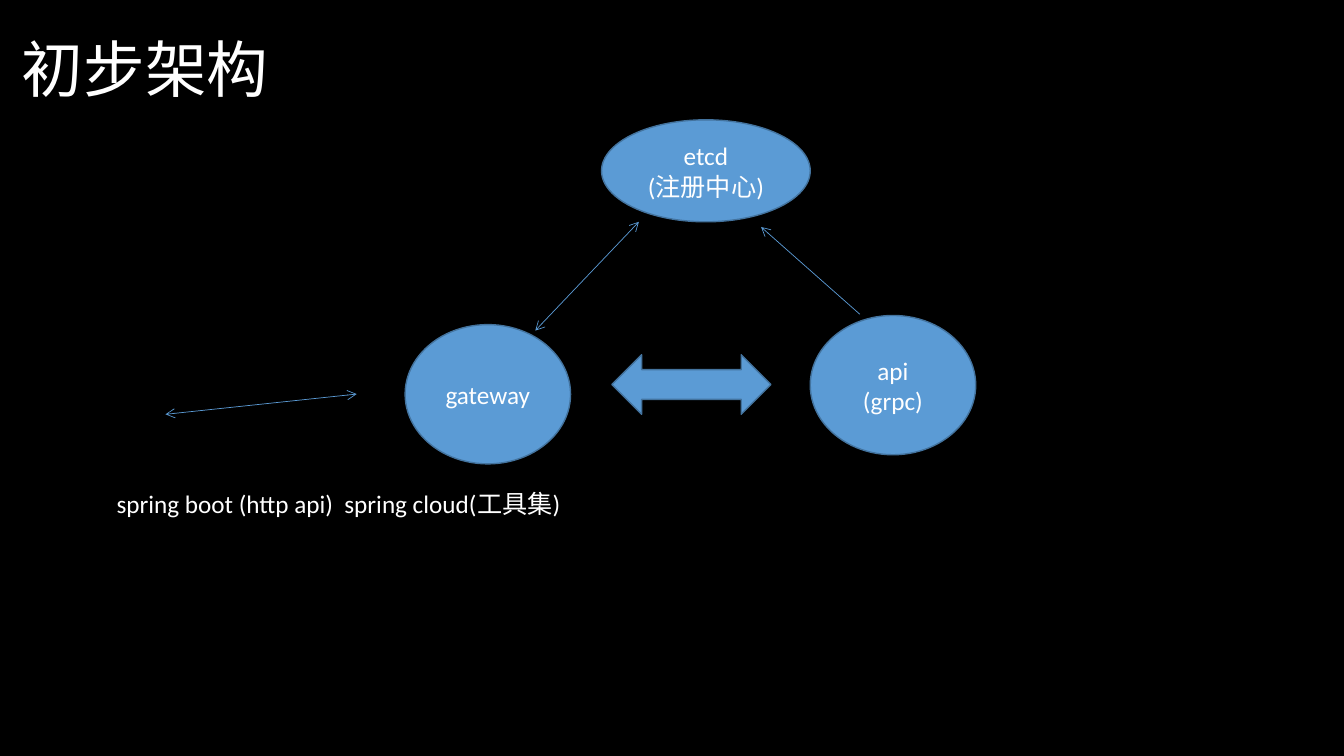
from lxml.etree import SubElement as Sub
from pptx import Presentation
from pptx.dml.color import RGBColor
from pptx.enum.shapes import MSO_CONNECTOR as Link, MSO_SHAPE as Kind
from pptx.enum.text import MSO_ANCHOR as Anchor, MSO_AUTO_SIZE as Fit, PP_ALIGN as Align
from pptx.oxml.ns import qn
from pptx.util import Cm, Pt

BLACK = RGBColor(0x00, 0x00, 0x00)
WHITE = RGBColor(0xFF, 0xFF, 0xFF)
BLUE = RGBColor(0x5B, 0x9B, 0xD5)
EDGE = RGBColor(0x43, 0x73, 0x9E)

FONT = {"name": "Calibri", "size": Pt(18)}
HEAD = {"name": "Calibri", "size": Pt(44)}
FRAME = {"word_wrap": True, "auto_size": Fit.NONE, "vertical_anchor": Anchor.MIDDLE}
NOTE = {"word_wrap": True, "auto_size": Fit.SHAPE_TO_FIT_TEXT, "vertical_anchor": Anchor.TOP}
NODES = [
    ("api\n(grpc)", (20.42, 7.95, 4.17, 3.51)),
    ("etcd\n(注册中心)", (15.16, 3.02, 5.26, 2.57)),
    ("gateway", (10.21, 8.18, 4.17, 3.51)),
]
LINKS = [
    ((21.67, 7.92, 19.18, 5.72), ["tailEnd"]),
    ((13.49, 8.33, 16.1, 5.59), ["headEnd", "tailEnd"]),
    ((4.17, 10.44, 8.99, 9.93), ["headEnd", "tailEnd"]),
]


def apply(item, form):
    """Set each attribute of item from the format values."""
    for key, value in form.items():
        setattr(item, key, value)


def write(shape, text, font=FONT, frame=FRAME, para={"alignment": Align.CENTER}):
    """Fill a shape with formatted white text."""
    body = shape.text_frame
    body.text = text
    apply(body, frame)
    for line in body.paragraphs:
        apply(line, para)
        for run in line.runs:
            apply(run.font, font)
            run.font.color.rgb = WHITE


def add_form(slide, kind, box):
    """Add a blue preset shape with a darker edge."""
    shape = slide.shapes.add_shape(kind, *map(Cm, box))
    shape.shadow.inherit = False
    shape.fill.solid()
    shape.fill.fore_color.rgb = BLUE
    shape.line.color.rgb = EDGE
    shape.line.width = Pt(1)
    return shape


def add_link(slide, ends, tips):
    """Add a thin blue line with open arrow tips."""
    link = slide.shapes.add_connector(Link.STRAIGHT, *map(Cm, ends))
    link.line.color.rgb = BLUE
    link.line.width = Pt(0.5)
    props = link._element.spPr
    for tip in tips:
        Sub(props.find(qn("a:ln")), qn(f"a:{tip}"), type="arrow")
    Sub(props, qn("a:effectLst"))


def add_title(slide, text, box):
    """Place and format the title placeholder."""
    title = slide.shapes.title
    apply(title, dict(zip(("left", "top", "width", "height"), map(Cm, box))))
    write(title, text, HEAD, para={"alignment": Align.LEFT, "line_spacing": 0.9})


def add_note(slide, text, box):
    """Add a left-aligned text box."""
    note = slide.shapes.add_textbox(*map(Cm, box))
    write(note, text, frame=NOTE, para={"alignment": Align.LEFT})


def main():
    """Build the architecture slide and save it."""
    deck = Presentation()
    apply(deck, {"slide_width": Cm(33.87), "slide_height": Cm(19.05)})
    slide = deck.slides.add_slide(deck.slide_layouts[5])
    back = slide.background.fill
    back.solid()
    back.fore_color.rgb = BLACK
    add_title(slide, "初步架构", (0.3, 0, 29.21, 3.68))
    for text, box in NODES:
        write(add_form(slide, Kind.OVAL, box), text)
    add_form(slide, Kind.LEFT_RIGHT_ARROW, (15.42, 8.94, 4.01, 1.5))
    for ends, tips in LINKS:
        add_link(slide, ends, tips)
    add_note(slide, "spring boot (http api)  spring cloud(工具集)", (2.69, 12.19, 17.73, 1.02))
    deck.save("out.pptx")


if __name__ == "__main__":
    main()
